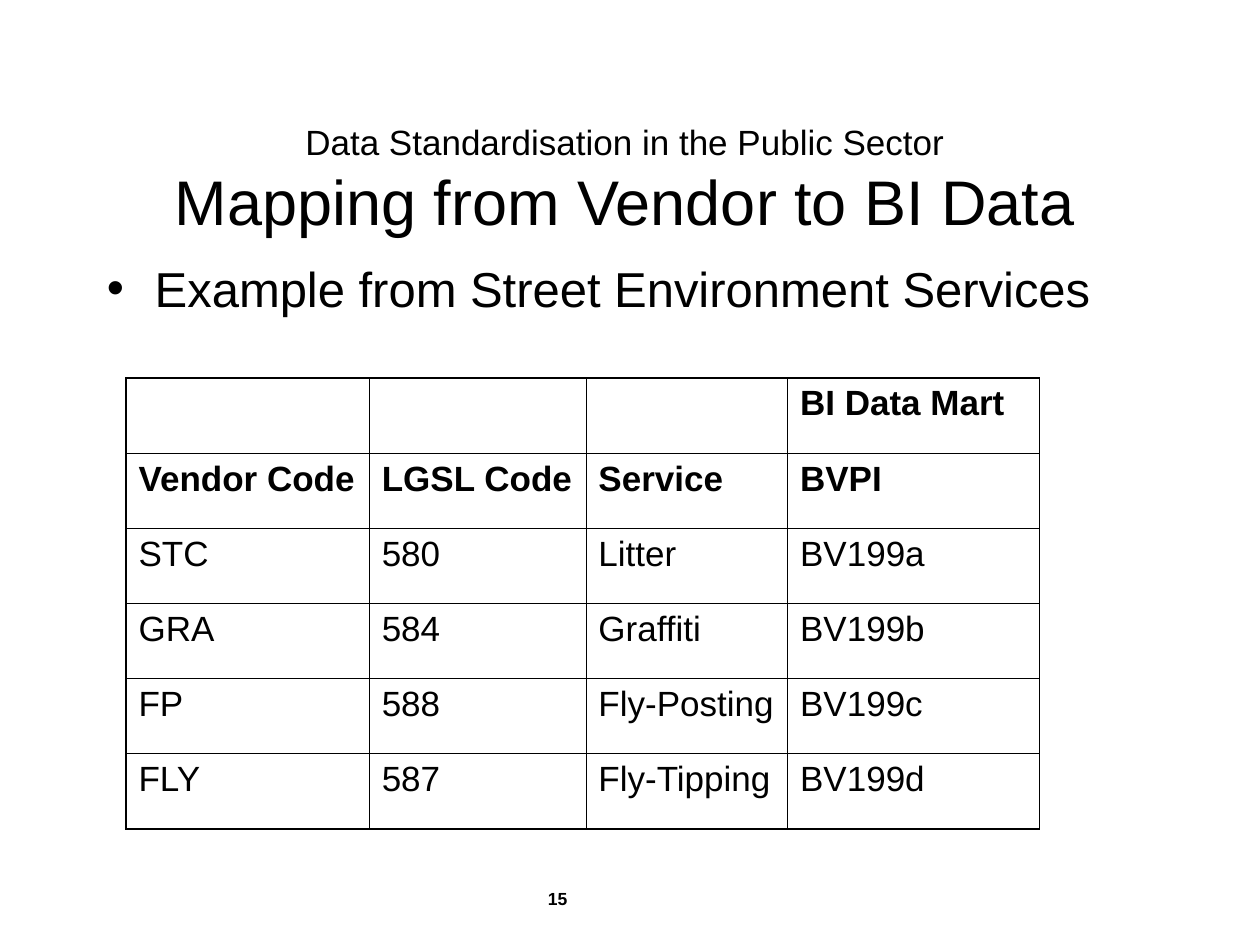
from dataclasses import dataclass

from lxml.etree import SubElement
from pptx import Presentation
from pptx.dml.color import RGBColor
from pptx.enum.text import MSO_ANCHOR, PP_ALIGN
from pptx.oxml.ns import qn
from pptx.util import Inches, Pt


@dataclass(frozen=True)
class Theme:
    font: str = "Arial"
    ink: str = "000000"
    paper: str = "FFFFFF"
    title: float = 36
    body: float = 28
    small: float = 20
    number: float = 10
    outer_line: float = 1.08
    inner_line: float = 0.45


@dataclass(frozen=True)
class Area:
    left: float
    top: float
    width: float
    height: float

    def lengths(self) -> tuple:
        return tuple(Inches(v) for v in (self.left, self.top, self.width, self.height))


THEME = Theme()
HEADER_ROWS = 2
COLUMN_WIDTHS = (1.93, 1.72, 1.6, 2.0)
MAPPING = (
    ("", "", "", "BI Data Mart"),
    ("Vendor Code", "LGSL Code", "Service", "BVPI"),
    ("STC", "580", "Litter", "BV199a"),
    ("GRA", "584", "Graffiti", "BV199b"),
    ("FP", "588", "Fly-Posting", "BV199c"),
    ("FLY", "587", "Fly-Tipping", "BV199d"),
)
TABLE_AREA = Area(1, 3, sum(COLUMN_WIDTHS), 3.58)


def add_span(para, text: str, *, size: float, bold: bool = False) -> None:
    span = para.add_run()
    span.text = text
    span.font.name = THEME.font
    span.font.size = Pt(size)
    span.font.bold = bold
    span.font.color.rgb = RGBColor.from_string(THEME.ink)


def add_text(page, area: Area, text: str, *, size: float, bold: bool = False,
             before: float = 0, align=PP_ALIGN.LEFT, anchor=MSO_ANCHOR.TOP,
             first_size: float | None = None):
    frame = page.shapes.add_textbox(*area.lengths()).text_frame
    frame.word_wrap = True
    frame.vertical_anchor = anchor
    para = frame.paragraphs[0]
    para.alignment = align
    para.space_before = Pt(before)
    for index, line in enumerate(text.split("\n")):
        if index:
            para.add_line_break()
        line_size = first_size if first_size and index == 0 else size
        add_span(para, line, size=line_size, bold=bold)
    return para


def add_bullet(para, indent: float) -> None:
    properties = para._p.get_or_add_pPr()
    properties.set("marL", str(Inches(indent)))
    properties.set("indent", str(-Inches(indent)))
    SubElement(properties, qn("a:buFont"), typeface=THEME.font)
    SubElement(properties, qn("a:buChar"), char="•")


def set_borders(cell, widths: dict[str, float]) -> None:
    properties = cell._tc.get_or_add_tcPr()
    for position, (side, width) in enumerate(widths.items()):
        line = properties.makeelement(qn(f"a:ln{side}"), {"w": str(Pt(width))})
        fill = SubElement(line, qn("a:solidFill"))
        SubElement(fill, qn("a:srgbClr"), val=THEME.ink)
        properties.insert(position, line)


def add_mapping_table(page) -> None:
    row_count, column_count = len(MAPPING), len(COLUMN_WIDTHS)
    table = page.shapes.add_table(row_count, column_count, *TABLE_AREA.lengths()).table
    table.first_row = table.horz_banding = False
    for column, width in zip(table.columns, COLUMN_WIDTHS):
        column.width = Inches(width)
    for row_index, texts in enumerate(MAPPING):
        table.rows[row_index].height = Inches(TABLE_AREA.height / row_count)
        for column_index, text in enumerate(texts):
            cell = table.cell(row_index, column_index)
            cell.fill.solid()
            cell.fill.fore_color.rgb = RGBColor.from_string(THEME.paper)
            edges = {
                "L": column_index == 0,
                "R": column_index == column_count - 1,
                "T": row_index == 0,
                "B": row_index == row_count - 1,
            }
            set_borders(cell, {side: THEME.outer_line if outer else THEME.inner_line
                               for side, outer in edges.items()})
            if text:
                para = cell.text_frame.paragraphs[0]
                para.space_before = Pt(5)
                add_span(para, text, size=THEME.small, bold=row_index < HEADER_ROWS)


def main() -> None:
    deck = Presentation()
    deck.slide_width, deck.slide_height = Inches(10), Inches(7.5)
    page = deck.slides.add_slide(deck.slide_layouts[6])
    add_text(page, Area(4.25, 7, 0.58, 0.27), "15",
             size=THEME.number, bold=True, before=6.2)
    add_text(page, Area(0.75, 0.92, 8.42, 1),
             "Data Standardisation in the Public Sector\nMapping from Vendor to BI Data",
             size=THEME.title, first_size=THEME.small,
             align=PP_ALIGN.CENTER, anchor=MSO_ANCHOR.MIDDLE)
    example = add_text(page, Area(0.75, 2, 8.33, 4),
                       "Example from Street Environment Services",
                       size=THEME.body, before=7)
    add_bullet(example, 0.38)
    add_mapping_table(page)
    deck.save("out.pptx")


if __name__ == "__main__":
    main()
